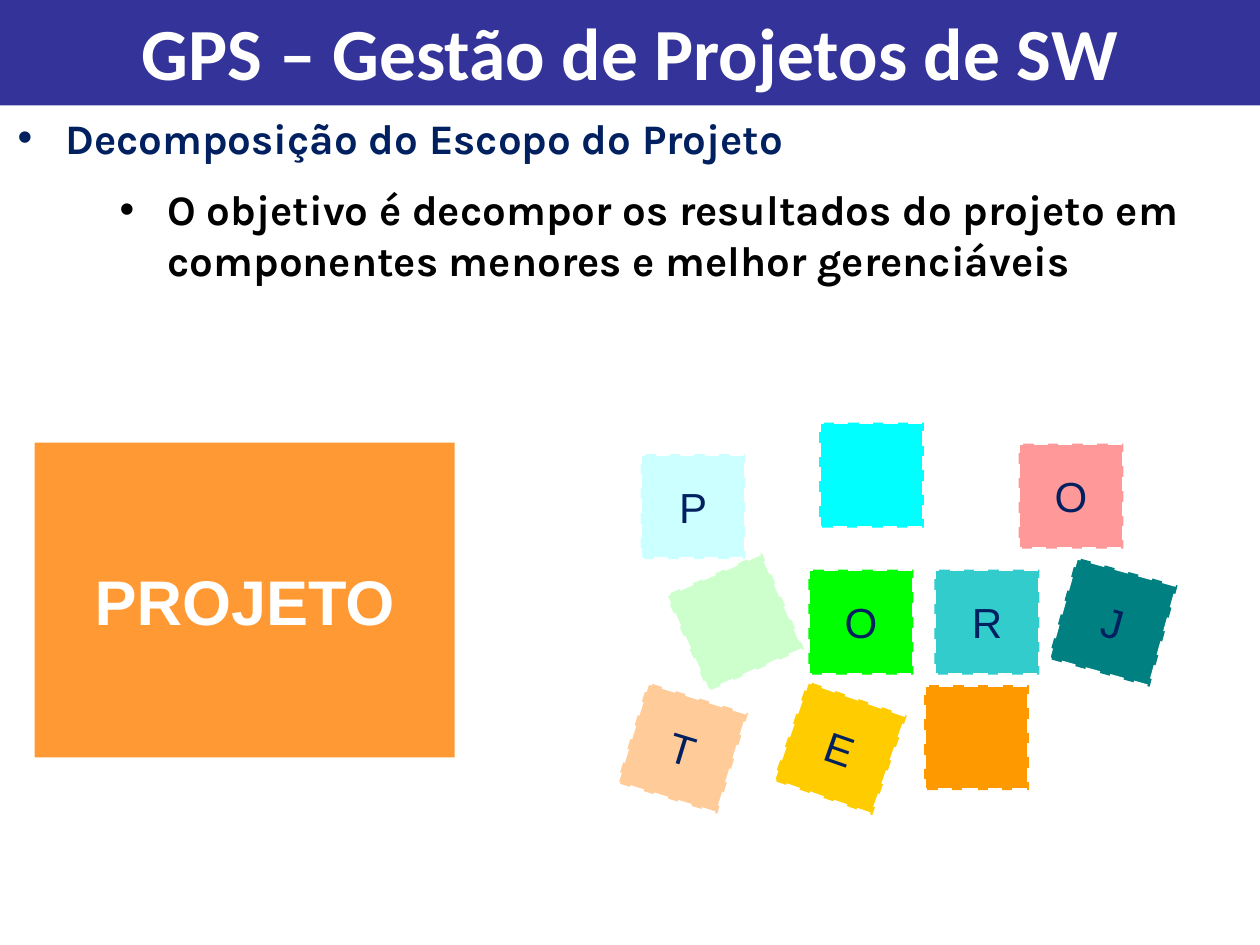
import pptx
import pptx.util
import pptx.dml.color
import pptx.enum.dml
import pptx.enum.shapes
import pptx.enum.text
import pptx.oxml.ns
from lxml import etree

NAVY, WHITE, BLACK = "002060", "FFFFFF", "000000"
UNIT = 1 / 12  # inches per grid column or row: the slide is 120 x 90
TILE = 10
TILES_LEFT, TILES_TOP = 60, 40.25

# column and row from the corner of the tile area, rotation, fill, letter
TILES = [
    (5, 14, 336.2, "CCFFCC", ""),
    (1, 3, 0, "CCFFFF", "P"),
    (0, 26, 17.1, "FFCC99", "T"),
    (17, 14, 0, "00FF00", "O"),
    (18, 0, 0, "00FFFF", ""),
    (15, 26, 19.2, "FFCC00", "E"),
    (29, 14, 0, "33CCCC", "R"),
    (28, 25, 0, "FF9900", ""),
    (41, 14, 15.5, "008080", "J"),
    (37, 2, 0, "FF9999", "O"),
]


def rgb(color):
    return pptx.dml.color.RGBColor.from_string(color)


def grid(*cells):
    """Turn grid columns or rows into lengths."""
    return [pptx.util.Inches(c * UNIT) for c in cells]


class Deck:
    def __init__(self):
        self.prs = pptx.Presentation()
        self.prs.slide_width, self.prs.slide_height = grid(120, 90)
        self.s = self.prs.slides.add_slide(self.prs.slide_layouts[6])

    def style(self, p, name, size, color, bold):
        p.font.name, p.font.size, p.font.bold = name, pptx.util.Pt(size), bold
        p.font.color.rgb = rgb(color)

    def box(self, x, y, w, h, fill, text="", size=24, color=NAVY, bold=False,
            name="Arial", wrap=False):
        sp = self.s.shapes.add_shape(
            pptx.enum.shapes.MSO_SHAPE.RECTANGLE, *grid(x, y, w, h))
        sp.shadow.inherit = False
        sp.fill.solid()
        sp.fill.fore_color.rgb = rgb(fill)
        sp.line.fill.background()
        if text:
            tf = sp.text_frame
            tf.word_wrap = wrap
            tf.vertical_anchor = pptx.enum.text.MSO_ANCHOR.MIDDLE
            p = tf.paragraphs[0]
            p.text = text
            p.alignment = pptx.enum.text.PP_ALIGN.CENTER
            self.style(p, name, size, color, bold)
        return sp

    def tile(self, col, row, rotation, fill, letter):
        sp = self.box(TILES_LEFT + col, TILES_TOP + row, TILE, TILE, fill, letter)
        sp.rotation = rotation
        sp.line.color.rgb = rgb(WHITE)
        sp.line.width = pptx.util.Pt(2)
        sp.line.dash_style = pptx.enum.dml.MSO_LINE.DASH

    def bullets(self, x, y, w, h, items):
        """Add bulleted text; items hold level, left margin in inches, colour, text."""
        tf = self.s.shapes.add_textbox(*grid(x, y, w, h)).text_frame
        tf.word_wrap = True
        for i, (level, margin, color, text) in enumerate(items):
            p = tf.add_paragraph() if i else tf.paragraphs[0]
            p.text, p.level = text, level
            self.style(p, "Karla", 24, color, True)
            self.mark(p, margin)

    def mark(self, p, margin):
        """Give a paragraph a hanging bullet and half a line of space before."""
        qn = pptx.oxml.ns.qn
        pPr = p._p.get_or_add_pPr()
        pPr.set("marL", str(pptx.util.Inches(margin)))
        pPr.set("indent", str(pptx.util.Inches(-0.38)))
        before = etree.Element(qn("a:spcBef"))
        etree.SubElement(before, qn("a:spcPct")).set("val", "50000")
        font = etree.Element(qn("a:buFont"), typeface="Arial")
        char = etree.Element(qn("a:buChar"), char="•")
        for i, element in enumerate((before, font, char)):
            pPr.insert(i, element)


def main():
    deck = Deck()
    deck.bullets(0.5, 10.1, 120, 18.1, [
        (0, 0.38, NAVY, "Decomposição do Escopo do Projeto"),
        (1, 1.19, BLACK, "O objetivo é decompor os resultados do projeto em "
                         "componentes menores e melhor gerenciáveis"),
    ])
    deck.box(3.3, 42.15, 40, 30, "FF9933", "PROJETO", 36, WHITE, True)
    for tile in TILES:
        deck.tile(*tile)
    deck.box(0, -0.4, 120, 10.45, "333399", "GPS – Gestão de Projetos de SW",
             42, WHITE, True, "Calibri", wrap=True)
    deck.prs.save("out.pptx")


if __name__ == "__main__":
    main()
